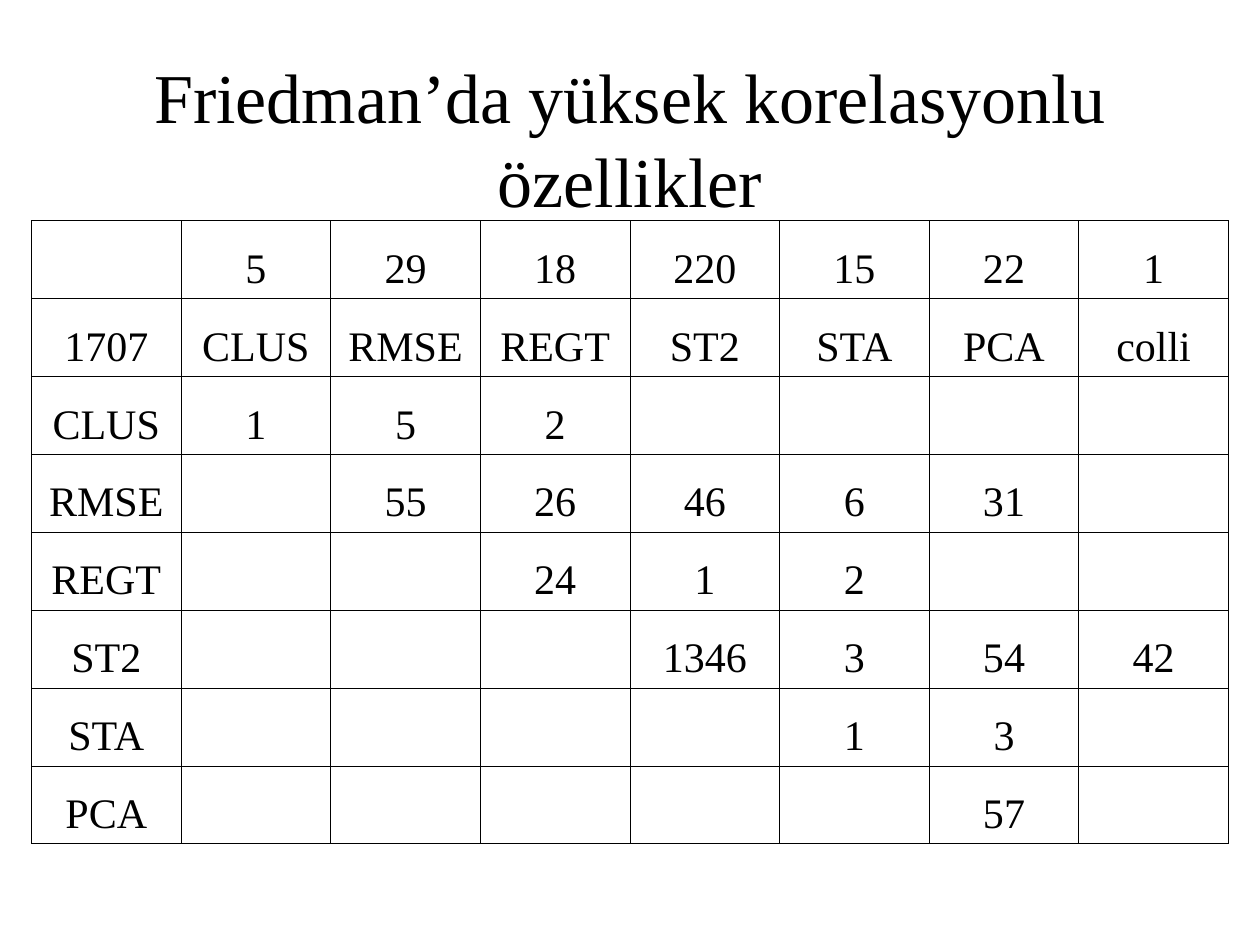
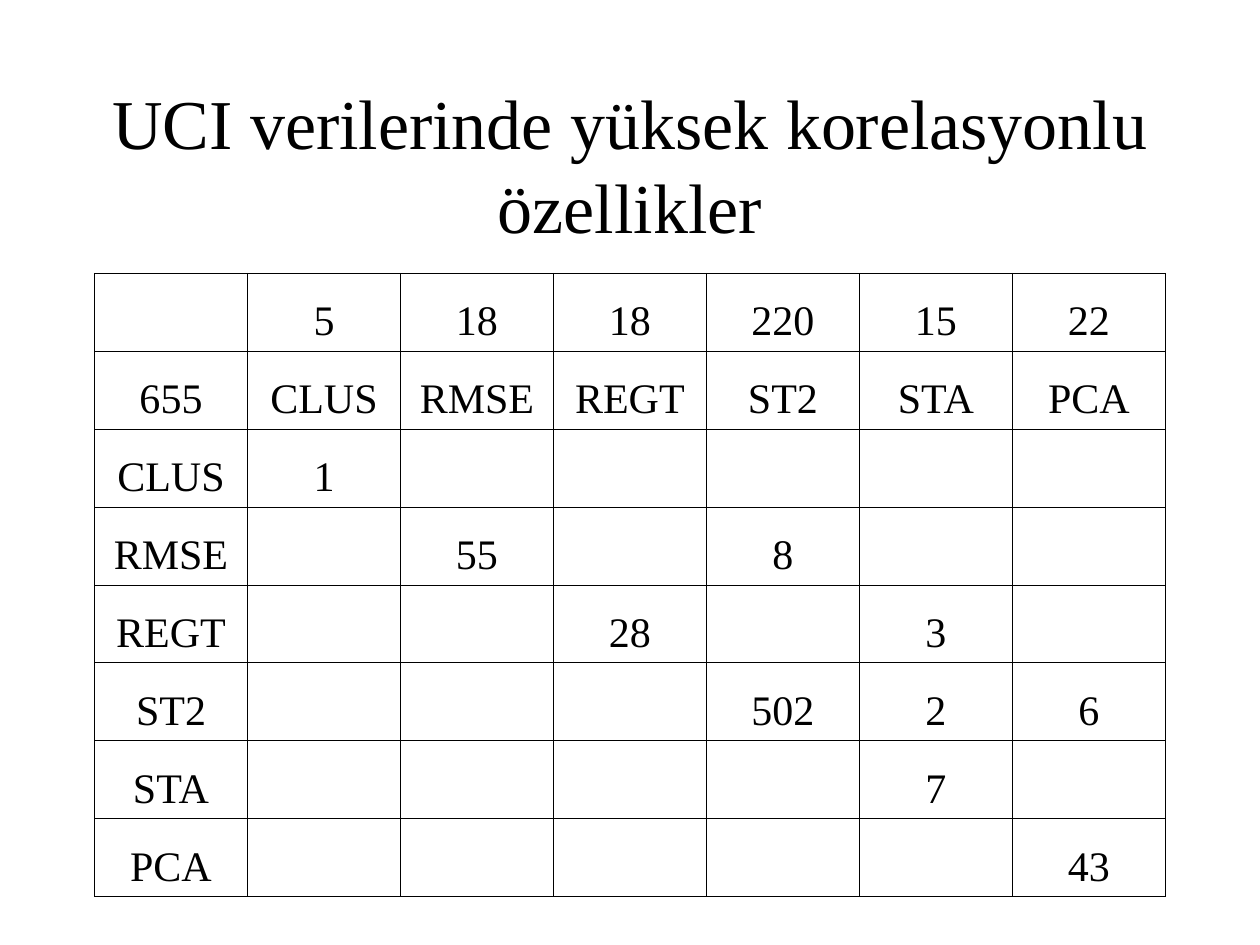
from lxml import etree
from pptx import Presentation
from pptx.dml.color import RGBColor
from pptx.enum.text import MSO_ANCHOR, PP_ALIGN
from pptx.oxml.ns import qn
from pptx.util import Cm, Pt

BLACK = RGBColor(0x00, 0x00, 0x00)
CENTER = PP_ALIGN.CENTER
MIDDLE = MSO_ANCHOR.MIDDLE
BOTTOM = MSO_ANCHOR.BOTTOM
FONT = "Times New Roman"
TITLE_SIZE = Pt(40)
CELL_SIZE = Pt(24)
BORDER_WIDTH = Pt(0.45)
SLIDE_WIDTH = Cm(25.4)
SLIDE_HEIGHT = Cm(19.05)
TITLE_WIDTH = Cm(21.59)
TITLE_HEIGHT = Cm(3.18)
ROW_HEIGHT = Cm(1.57)
BLANK_LAYOUT = 6

FEATURES = ["CLUS", "RMSE", "REGT", "ST2", "STA", "PCA"]

FRIEDMAN_HEADER = [
    ["", "5", "29", "18", "220", "15", "22", "1"],
    ["1707", *FEATURES, "colli"],
]
FRIEDMAN_PAIRS = [
    ["1", "5", "2"],
    ["55", "26", "46", "6", "31"],
    ["24", "1", "2"],
    ["1346", "3", "54", "42"],
    ["1", "3"],
    ["57"],
]

UCI_HEADER = [
    ["", "5", "18", "18", "220", "15", "22"],
    ["655", *FEATURES],
]
UCI_PAIRS = [
    ["1"],
    ["55", "", "8"],
    ["28", "", "3"],
    ["502", "2", "6"],
    ["7"],
    ["43"],
]


def upper_triangle(pairs):
    return [
        [feature, *[""] * index, *values]
        for index, (feature, values) in enumerate(zip(FEATURES, pairs))
    ]


class SlideBuilder:
    def __init__(self, deck):
        self.deck = deck
        self.page = None

    def new_page(self):
        self.page = self.deck.slides.add_slide(self.deck.slide_layouts[BLANK_LAYOUT])

    def set_text(self, para, text, size):
        para.text = text
        para.alignment = CENTER
        para.font.name = FONT
        para.font.size = size
        para.font.color.rgb = BLACK

    def title(self, text, top):
        left = (SLIDE_WIDTH - TITLE_WIDTH) // 2
        box = self.page.shapes.add_textbox(left, top, TITLE_WIDTH, TITLE_HEIGHT)
        frame = box.text_frame
        frame.word_wrap = True
        frame.vertical_anchor = MIDDLE
        self.set_text(frame.paragraphs[0], text, TITLE_SIZE)

    def border(self, cell):
        properties = cell._tc.get_or_add_tcPr()
        for side in ("a:lnL", "a:lnR", "a:lnT", "a:lnB"):
            line = etree.SubElement(properties, qn(side), w=str(int(BORDER_WIDTH)))
            fill = etree.SubElement(line, qn("a:solidFill"))
            etree.SubElement(fill, qn("a:srgbClr"), val=str(BLACK))

    def table(self, rows, top, width):
        left = (SLIDE_WIDTH - width) // 2
        height = ROW_HEIGHT * len(rows)
        frame = self.page.shapes.add_table(
            len(rows), len(rows[0]), left, top, width, height
        )
        table = frame.table
        table.first_row = False
        table.horz_banding = False
        for cell in table.iter_cells():
            self.border(cell)
            cell.fill.background()
            cell.vertical_anchor = BOTTOM
        for row_index, row in enumerate(rows):
            for column_index, text in enumerate(row):
                if text:
                    cell = table.cell(row_index, column_index)
                    self.set_text(cell.text_frame.paragraphs[0], text, CELL_SIZE)


def main():
    deck = Presentation()
    deck.slide_width = SLIDE_WIDTH
    deck.slide_height = SLIDE_HEIGHT
    builder = SlideBuilder(deck)

    builder.new_page()
    builder.title("Friedman’da yüksek korelasyonlu özellikler", Cm(1.19))
    builder.table(FRIEDMAN_HEADER + upper_triangle(FRIEDMAN_PAIRS), Cm(4.45), Cm(24.13))

    builder.new_page()
    builder.title("UCI verilerinde yüksek korelasyonlu özellikler", Cm(1.7))
    builder.table(UCI_HEADER + upper_triangle(UCI_PAIRS), Cm(5.51), Cm(21.59))

    deck.save("out.pptx")


if __name__ == "__main__":
    main()
